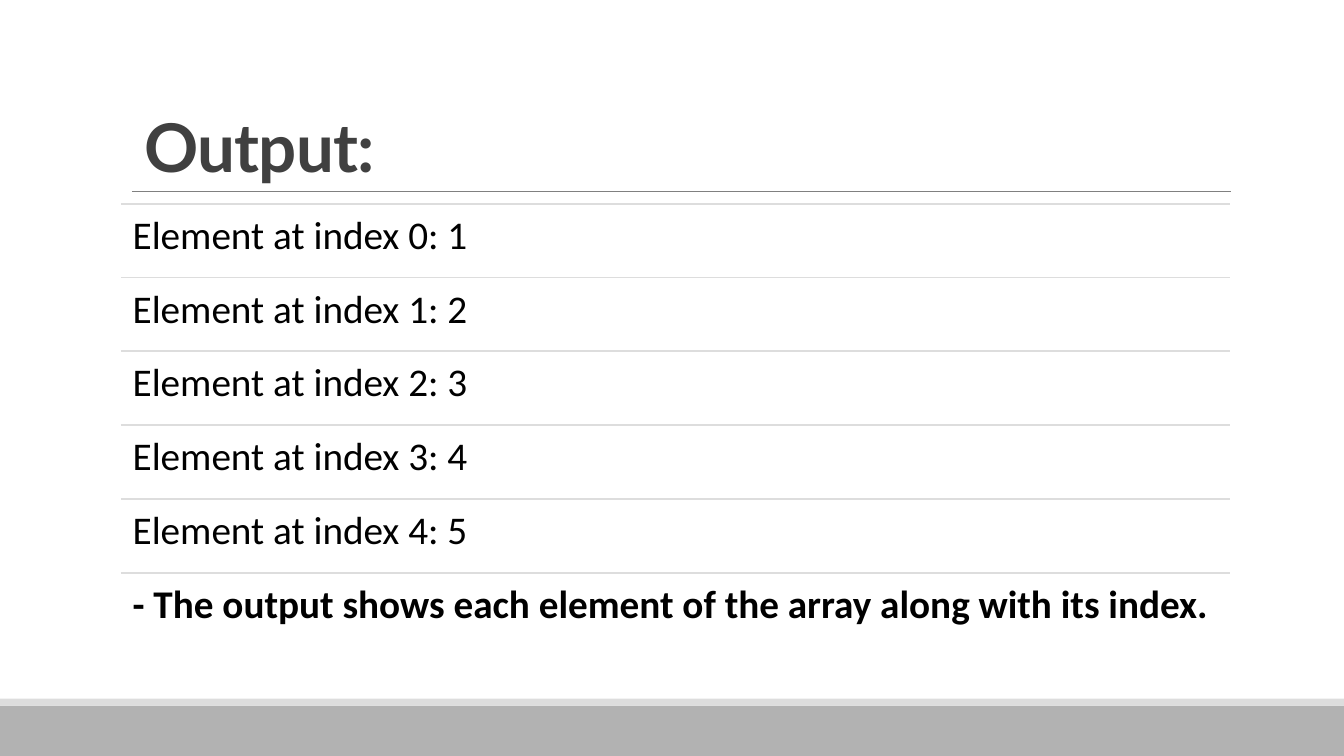
from dataclasses import dataclass
from lxml import etree
from pptx import Presentation
from pptx.dml.color import RGBColor
from pptx.enum.shapes import MSO_CONNECTOR, MSO_SHAPE
from pptx.enum.text import MSO_ANCHOR, MSO_AUTO_SIZE, PP_ALIGN
from pptx.oxml.ns import qn
from pptx.util import Pt

STRAIGHT = MSO_CONNECTOR.STRAIGHT
RECTANGLE = MSO_SHAPE.RECTANGLE
TOP, BOTTOM = MSO_ANCHOR.TOP, MSO_ANCHOR.BOTTOM
LEFT = PP_ALIGN.LEFT
NO_AUTOFIT = MSO_AUTO_SIZE.NONE


@dataclass(frozen=True)
class Theme:
    title_font: str = "Lato"
    body_font: str = "Calibri"
    title_size: int = 48
    body_size: int = 28
    title_color: str = "404040"
    body_color: str = "000000"
    title_rule: str = "808080"
    light: str = "DDDDDD"
    footer: str = "B2B2B2"


theme = Theme()


def add_rule(left, right, top, color, weight):
    rule = page.shapes.add_connector(STRAIGHT, Pt(left), Pt(top), Pt(right), Pt(top))
    rule.line.color.rgb = RGBColor.from_string(color)
    rule.line.width = Pt(weight)
    etree.SubElement(rule._element.spPr, qn("a:effectLst"))


def write(box, text, font, size, color, bold, spacing, anchor):
    frame = box.text_frame
    frame.text = text
    frame.word_wrap = True
    frame.auto_size = NO_AUTOFIT
    frame.vertical_anchor = anchor
    para = frame.paragraphs[0]
    para.alignment = LEFT
    para.line_spacing = spacing
    span = para.runs[0]
    span.font.name = font
    span.font.size = Pt(size)
    span.font.bold = bold
    span.font.color.rgb = RGBColor.from_string(color)
    return span


deck = Presentation()
deck.slide_width, deck.slide_height = Pt(960), Pt(540)
page = deck.slides.add_slide(deck.slide_layouts[5])

for top, height, color in ((504, 36, theme.footer), (499, 5, theme.light)):
    bar = page.shapes.add_shape(RECTANGLE, Pt(0), Pt(top), Pt(960), Pt(height))
    bar.shadow.inherit = False
    bar.fill.solid()
    bar.fill.fore_color.rgb = RGBColor.from_string(color)
    bar.line.fill.background()

add_rule(94.3, 879, 136.6, theme.title_rule, 0.5)

title = page.shapes.title
title.left, title.top, title.width, title.height = Pt(86.4), Pt(22.4), Pt(792), Pt(114.2)
span = write(title, "Output:", theme.title_font, theme.title_size,
             theme.title_color, True, 0.85, BOTTOM)
span._r.get_or_add_rPr().set("spc", "-50")
title.text_frame.margin_left = Pt(16.5)

rows = [f"Element at index {index}: {index + 1}" for index in range(5)]
rows.append("- The output shows each element of the array along with its index.")
row_left, row_top, row_width, row_height = 86.4, 145.5, 792, 52.72
inset = Pt(8.4)

for number, text in enumerate(rows):
    top = row_top + number * row_height
    add_rule(row_left, row_left + row_width, top, theme.light, 1.25)
    box = page.shapes.add_textbox(Pt(row_left), Pt(top), Pt(row_width), Pt(row_height))
    write(box, text, theme.body_font, theme.body_size, theme.body_color,
          number == len(rows) - 1, 0.9, TOP)
    frame = box.text_frame
    frame.margin_left = frame.margin_right = inset
    frame.margin_top = frame.margin_bottom = inset

deck.save("out.pptx")
